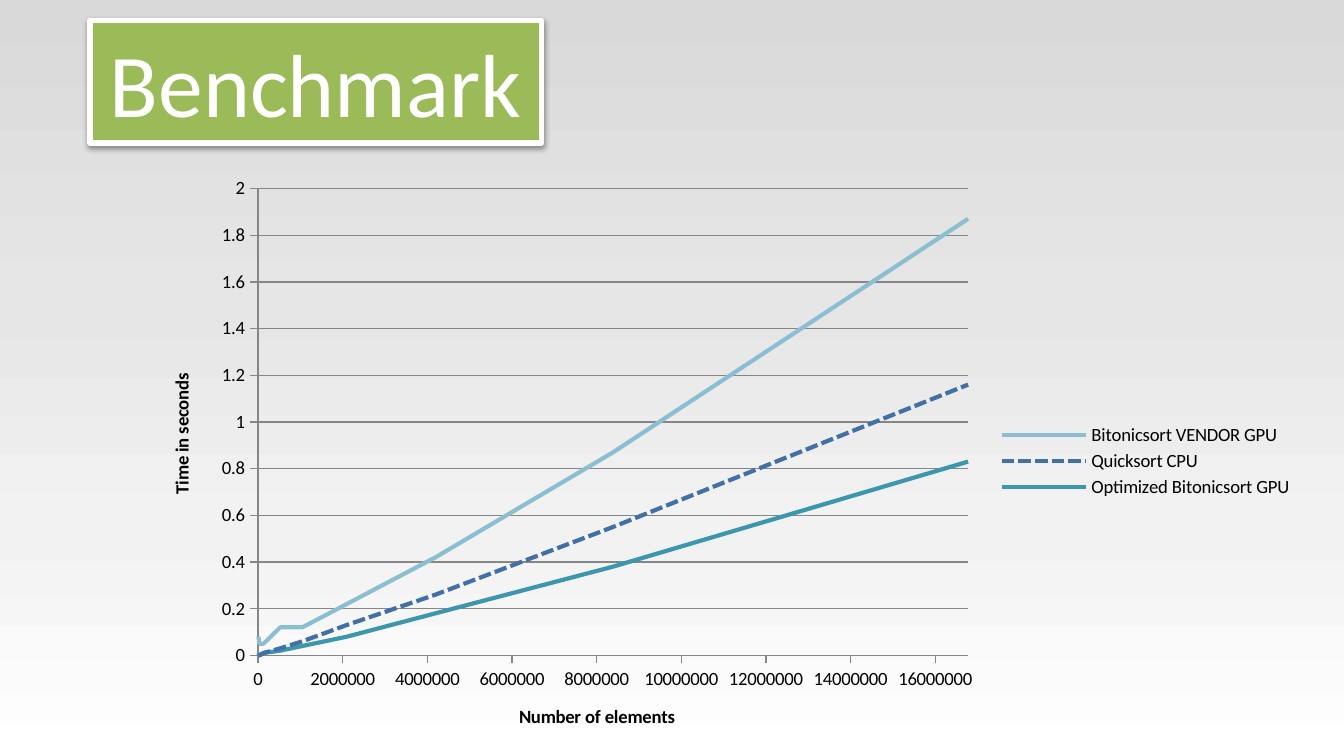
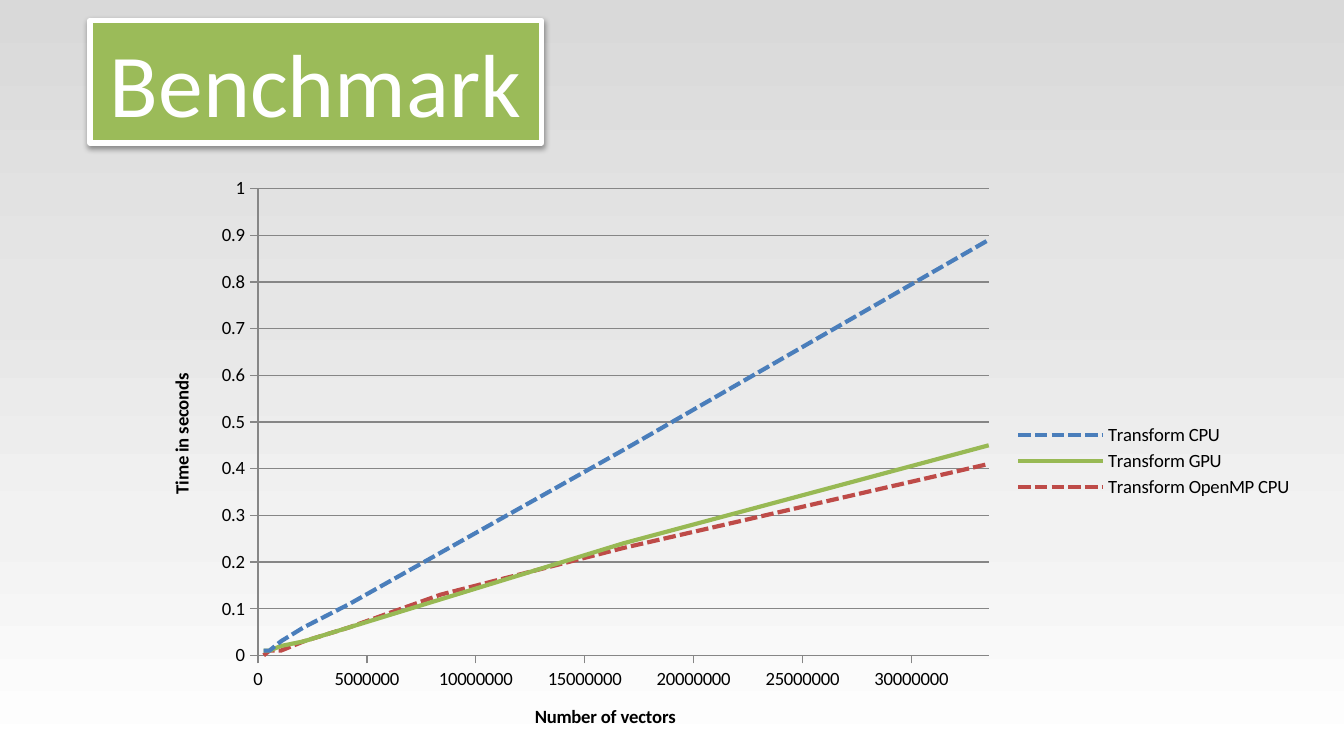
from lxml import etree
from pptx import Presentation
from pptx import util as u
from pptx.chart.data import XyChartData
from pptx.dml.color import RGBColor
from pptx.enum import chart as charts, dml, shapes, text
from pptx.oxml.ns import qn

# Widescreen, 16:9
WIDTH = u.Inches(10)
HEIGHT = u.Emu(WIDTH * 9 // 16)
FONT = "Calibri"
GREEN, WHITE, BLACK, GRID = "9BBB59", "FFFFFF", "000000", "868686"
BACKDROP = [(0, "D9D9D9"), (40, "E6E6E6"), (70, "F2F2F2"), (100, WHITE)]

# Boxes as shares of the slide: left, top, width, height
TITLE_BOX = (0.067, 0.027, 0.336, 0.162)
CHART_BOX = (0.106, 0.22, 0.866, 0.78)

# Each line: name, colour, dashed, seconds
SORTING = {
    "axis": "Number of elements",
    "sizes": [2 ** n for n in (13, 15, 17, 19, 20, 21, 22, 23, 24)],
    "lines": [
        ("Bitonicsort VENDOR GPU", "8CBED2", False,
         [0.08, 0.05, 0.05, 0.12, 0.12, 0.22, 0.42, 0.87, 1.87]),
        ("Quicksort CPU", "426FA6", True,
         [0, 0, 0.01, 0.03, 0.06, 0.13, 0.26, 0.55, 1.16]),
        ("Optimized Bitonicsort GPU", "3C96AE", False,
         [0.01, 0, 0.01, 0.02, 0.04, 0.08, 0.18, 0.38, 0.83]),
    ],
}
TRANSFORM = {
    "axis": "Number of vectors",
    "sizes": [2 ** n for n in range(18, 26)],
    "lines": [
        ("Transform CPU", "4A7EBB", True,
         [0.01, 0.01, 0.03, 0.06, 0.11, 0.22, 0.44, 0.89]),
        ("Transform GPU", "98B954", False,
         [0.01, 0.01, 0.02, 0.03, 0.06, 0.12, 0.24, 0.45]),
        ("Transform OpenMP CPU", "BE4B48", True,
         [0, 0.01, 0.01, 0.03, 0.06, 0.13, 0.23, 0.41]),
    ],
}


def color(value):
    return RGBColor.from_string(value)


def place(box):
    left, top, width, height = box
    return (int(left * WIDTH), int(top * HEIGHT),
            int(width * WIDTH), int(height * HEIGHT))


def style_font(font, size, value, bold=False):
    font.name, font.size, font.bold = FONT, u.Pt(size), bold
    font.color.rgb = color(value)


def style_line(line, value, points):
    line.color.rgb = color(value)
    line.width = u.Pt(points)


def add_xml(parent, tag, **attributes):
    return etree.SubElement(parent, qn(tag), attributes)


def paint_background(page):
    fill = page.background.fill
    fill.gradient()
    fill.gradient_angle = 270
    stops = page._element.find(".//" + qn("a:gsLst"))
    for stop in list(stops):
        stops.remove(stop)
    for share, value in BACKDROP:
        stop = add_xml(stops, "a:gs", pos=str(share * 1000))
        add_xml(stop, "a:srgbClr", val=value)


def add_title(page, box, wording):
    banner = page.shapes.add_shape(shapes.MSO_SHAPE.RECTANGLE, *place(box))
    banner.fill.solid()
    banner.fill.fore_color.rgb = color(GREEN)
    style_line(banner.line, WHITE, 3)

    # Soft shadow straight below
    banner.shadow.inherit = False
    effects = banner._element.spPr.find(qn("a:effectLst"))
    shadow = add_xml(effects, "a:outerShdw", blurRad=str(u.Pt(3.1)),
                     dist=str(u.Pt(1.6)), dir="5400000", rotWithShape="0")
    tone = add_xml(shadow, "a:srgbClr", val=BLACK)
    add_xml(tone, "a:alpha", val="38000")

    frame = banner.text_frame
    frame.text = wording
    frame.word_wrap = True
    frame.auto_size = text.MSO_AUTO_SIZE.SHAPE_TO_FIT_TEXT
    para = frame.paragraphs[0]
    para.alignment = text.PP_ALIGN.CENTER
    style_font(para.runs[0].font, 48, WHITE)


def style_axis(axis, wording, grid):
    axis.has_major_gridlines = grid
    axis.major_tick_mark = charts.XL_TICK_MARK.OUTSIDE
    axis.minor_tick_mark = charts.XL_TICK_MARK.NONE
    style_line(axis.format.line, GRID, 0.75)
    if grid:
        style_line(axis.major_gridlines.format.line, GRID, 0.75)
    style_font(axis.tick_labels.font, 10, BLACK)
    axis.tick_labels.number_format = "General"
    axis.tick_labels.number_format_is_linked = False
    frame = axis.axis_title.text_frame
    frame.text = wording
    style_font(frame.paragraphs[0].runs[0].font, 10, BLACK, bold=True)


def add_benchmark_chart(page, box, benchmark):
    data = XyChartData()
    for name, _, _, seconds in benchmark["lines"]:
        series = data.add_series(name)
        for size, value in zip(benchmark["sizes"], seconds):
            series.add_data_point(size, value)
    chart = page.shapes.add_chart(
        charts.XL_CHART_TYPE.XY_SCATTER_LINES_NO_MARKERS, *place(box), data).chart
    style_font(chart.font, 10, BLACK)
    chart.has_title = False
    chart.plots[0].vary_by_categories = False

    # Lines
    for series, (_, tone, dashed, _) in zip(chart.plots[0].series, benchmark["lines"]):
        series.smooth = False
        series.marker.style = charts.XL_MARKER_STYLE.NONE
        style_line(series.format.line, tone, 2.25)
        if dashed:
            series.format.line.dash_style = dml.MSO_LINE.SQUARE_DOT

    # Axes and legend
    style_axis(chart.category_axis, benchmark["axis"], grid=False)
    style_axis(chart.value_axis, "Time in seconds", grid=True)
    chart.category_axis.minimum_scale = 0
    chart.category_axis.maximum_scale = benchmark["sizes"][-1]
    chart.has_legend = True
    chart.legend.position = charts.XL_LEGEND_POSITION.RIGHT
    chart.legend.include_in_layout = False
    style_font(chart.legend.font, 10, BLACK)


def add_benchmark_page(deck, benchmark):
    page = deck.slides.add_slide(deck.slide_layouts[6])
    paint_background(page)
    add_title(page, TITLE_BOX, "Benchmark")
    add_benchmark_chart(page, CHART_BOX, benchmark)


def main():
    deck = Presentation()
    deck.slide_width, deck.slide_height = WIDTH, HEIGHT
    for benchmark in (SORTING, TRANSFORM):
        add_benchmark_page(deck, benchmark)
    deck.save("out.pptx")


if __name__ == "__main__":
    main()
